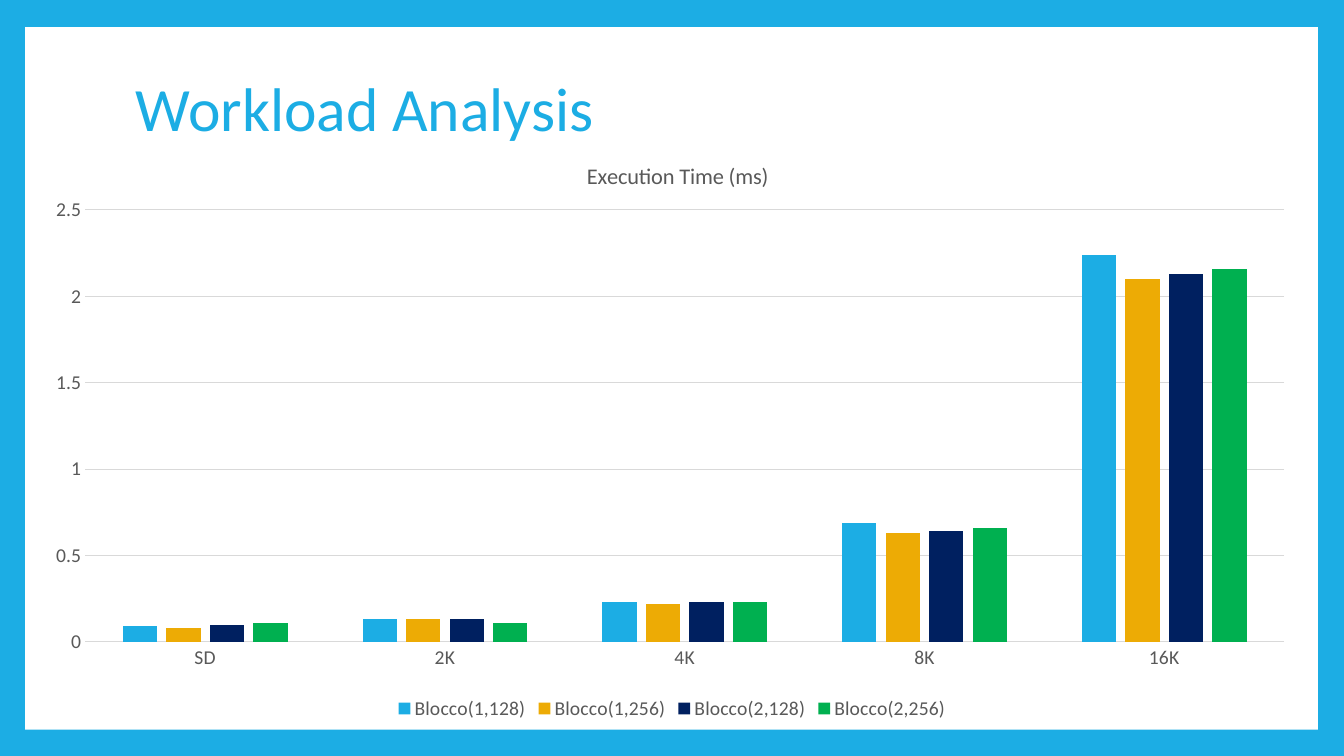
from lxml.etree import SubElement
from pptx import Presentation
from pptx.chart.data import CategoryChartData
from pptx.dml.color import RGBColor
from pptx.enum.chart import XL_CHART_TYPE as ChartType
from pptx.enum.chart import XL_LEGEND_POSITION as LegendPosition
from pptx.enum.chart import XL_TICK_MARK as TickMark
from pptx.enum.shapes import MSO_SHAPE as Preset
from pptx.enum.text import MSO_ANCHOR as Anchor
from pptx.oxml.ns import qn
from pptx.util import Inches, Pt

SKY = RGBColor(0x1C, 0xAD, 0xE4)
AMBER = RGBColor(0xED, 0xAB, 0x05)
NAVY = RGBColor(0x00, 0x20, 0x60)
GREEN = RGBColor(0x00, 0xB0, 0x50)
WHITE = RGBColor(0xFF, 0xFF, 0xFF)
GREY = RGBColor(0x59, 0x59, 0x59)
RULE = RGBColor(0xD9, 0xD9, 0xD9)

RESOLUTIONS = ["SD", "2K", "4K", "8K", "16K"]
BLOCKS = [
    ("Blocco(1,128)", SKY, (0.09, 0.13, 0.23, 0.69, 2.24)),
    ("Blocco(1,256)", AMBER, (0.08, 0.13, 0.22, 0.63, 2.1)),
    ("Blocco(2,128)", NAVY, (0.1, 0.13, 0.23, 0.64, 2.13)),
    ("Blocco(2,256)", GREEN, (0.11, 0.11, 0.23, 0.66, 2.16)),
]


def apply_format(target, values):
    """Set each named attribute of the target."""
    for name, value in values.items():
        setattr(target, name, value)


def style_font(font, size, color):
    """Give a font its face, size and colour."""
    apply_format(font, {"name": "Calibri", "size": Pt(size), "bold": False})
    font.color.rgb = color


def style_rule(line):
    """Draw a thin light rule."""
    line.color.rgb = RULE
    line.width = Pt(0.75)


def place(part, position, **values):
    """Fix a chart part at fractions of the chart area."""
    layout = part.find(qn("c:layout"))
    if layout is None:
        layout = SubElement(part, qn("c:layout"))
        part.insert(position, layout)
    manual = SubElement(layout, qn("c:manualLayout"))
    for tag, value in values.items():
        SubElement(manual, qn(f"c:{tag}")).set("val", str(value))


def add_panel(slide):
    """Add the white panel inside the coloured border."""
    panel = slide.shapes.add_shape(
        Preset.RECTANGLE, Inches(0.25), Inches(0.27), Inches(12.82), Inches(6.97))
    panel.shadow.inherit = False
    panel.fill.solid()
    panel.fill.fore_color.rgb = WHITE
    panel.line.fill.background()


def add_heading(slide, text):
    """Add the slide heading."""
    heading = slide.shapes.add_textbox(
        Inches(1.25), Inches(0.67), Inches(10.8), Inches(0.88)).text_frame
    apply_format(heading, {"word_wrap": True, "vertical_anchor": Anchor.MIDDLE})
    paragraph = heading.paragraphs[0]
    paragraph.line_spacing = 0.9
    run = paragraph.add_run()
    run.text = text
    style_font(run.font, 44, SKY)


def style_axes(chart):
    """Style the resolution and time axes."""
    resolution, time = chart.category_axis, chart.value_axis
    for axis in (resolution, time):
        apply_format(axis, {"major_tick_mark": TickMark.NONE,
                            "minor_tick_mark": TickMark.NONE})
        style_font(axis.tick_labels.font, 14, GREY)
    style_rule(resolution.format.line)
    apply_format(time, {"minimum_scale": 0, "maximum_scale": 2.5,
                        "major_unit": 0.5, "has_major_gridlines": True})
    style_rule(time.major_gridlines.format.line)
    time.format.line.fill.background()
    apply_format(time.tick_labels,
                 {"number_format": "General", "number_format_is_linked": False})


def add_title(chart, text):
    """Add the chart title above the plot."""
    chart.has_title = True
    title = chart.chart_title
    run = title.text_frame.paragraphs[0].add_run()
    run.text = text
    style_font(run.font, 16, GREY)
    place(chart._chartSpace.chart.find(qn("c:title")), 1,
          xMode="edge", yMode="edge", x=0.43, y=0.04)


def add_timing_chart(slide):
    """Add the clustered columns of execution times."""
    timings = CategoryChartData(number_format="General")
    timings.categories = RESOLUTIONS
    for name, _, values in BLOCKS:
        timings.add_series(name, values)
    chart = slide.shapes.add_chart(
        ChartType.COLUMN_CLUSTERED, Inches(0.34), Inches(1.32),
        Inches(12.65), Inches(5.87), timings).chart
    style_font(chart.font, 14, GREY)
    add_title(chart, "Execution Time (ms)")
    style_axes(chart)

    chart.has_legend = True
    apply_format(chart.legend, {"position": LegendPosition.BOTTOM,
                                "include_in_layout": False})
    style_font(chart.legend.font, 14, GREY)

    columns = chart.plots[0]
    apply_format(columns, {"gap_width": 219, "overlap": -27,
                           "vary_by_categories": False})
    for series, (_, color, _) in zip(columns.series, BLOCKS):
        series.format.fill.solid()
        series.format.fill.fore_color.rgb = color
    place(chart._chartSpace.chart.plotArea, 0, layoutTarget="inner",
          xMode="edge", yMode="edge", x=0.04, y=0.13, w=0.94, h=0.73)


def main():
    """Build the workload analysis slide."""
    deck = Presentation()
    apply_format(deck, {"slide_width": Inches(13.33), "slide_height": Inches(7.5)})
    slide = deck.slides.add_slide(deck.slide_layouts[6])
    slide.background.fill.solid()
    slide.background.fill.fore_color.rgb = SKY
    add_panel(slide)
    add_heading(slide, "Workload Analysis")
    add_timing_chart(slide)
    deck.save("out.pptx")


if __name__ == "__main__":
    main()
